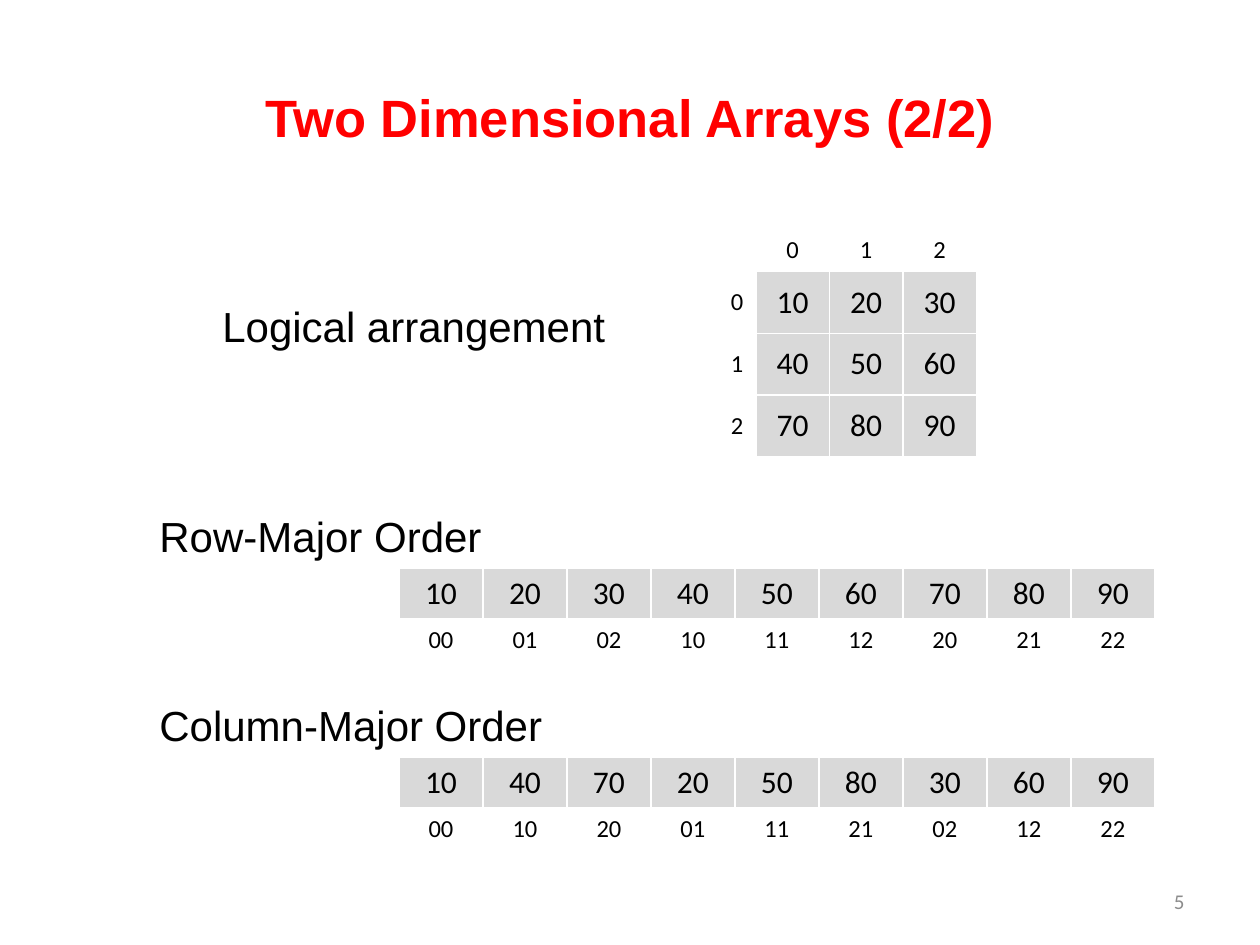
from itertools import product

from pptx import Presentation
from pptx.dml.color import RGBColor
from pptx.enum.text import MSO_ANCHOR, PP_ALIGN
from pptx.util import Pt

LEFT, MID, RIGHT = PP_ALIGN.LEFT, PP_ALIGN.CENTER, PP_ALIGN.RIGHT
TOP, CENTER, BASE = MSO_ANCHOR.TOP, MSO_ANCHOR.MIDDLE, MSO_ANCHOR.BOTTOM
HEX = {"title": "FF0000", "text": "000000", "page": "8C8C8C",
       "data": "D9D9D9", "blank": "FFFFFF"}


def write(para, text, align, tint, **form):
    para.text = text
    para.alignment = align
    for name, value in form.items():
        setattr(para.font, name, value)
    para.font.color.rgb = RGBColor.from_string(HEX[tint])


def draw(left, top, width, height, cells):
    frame = slide.shapes.add_table(
        len(cells), len(cells[0]), Pt(left), Pt(top), Pt(width), Pt(height))
    for r, line in enumerate(cells):
        for c, (text, tint, size, align, anchor) in enumerate(line):
            cell = frame.table.cell(r, c)
            cell.fill.solid()
            cell.fill.fore_color.rgb = RGBColor.from_string(HEX[tint])
            cell.vertical_anchor = anchor
            write(cell.text_frame.paragraphs[0], text, align, "text",
                  name="Calibri", size=Pt(size), bold=False)


deck = Presentation()
deck.slide_width, deck.slide_height = Pt(720), Pt(540)
slide = deck.slides.add_slide(deck.slide_layouts[6])

labels = [
    ("Two Dimensional Arrays (2/2)", 36, 21.6, 648, 90, "Arial", 30, "title", MID, CENTER, True),
    ("5", 516, 500.5, 168, 28.75, "Calibri", 12, "page", RIGHT, CENTER, True),
    ("Logical arrangement", 120, 168, 236, 36, "Arial", 24, "text", LEFT, TOP, False),
    ("Row-Major Order", 84, 288, 201, 36, "Arial", 24, "text", LEFT, TOP, False),
    ("Column-Major Order", 84, 396, 235.5, 36, "Arial", 24, "text", LEFT, TOP, False),
]
for text, left, top, width, height, face, size, tint, align, anchor, wrap in labels:
    box = slide.shapes.add_textbox(Pt(left), Pt(top), Pt(width), Pt(height)).text_frame
    box.word_wrap = wrap
    box.vertical_anchor = anchor
    write(box.paragraphs[0], text, align, tint,
          name=face, size=Pt(size), bold=tint == "title")

grid = [[10, 20, 30], [40, 50, 60], [70, 80, 90]]
rows = [[("", "blank", 14, MID, BASE)]
        + [(str(c), "blank", 14, MID, BASE) for c in range(3)]]
for r, line in enumerate(grid):
    rows.append([(str(r), "blank", 14, RIGHT, CENTER)]
                + [(str(n), "data", 18, MID, CENTER) for n in line])
draw(390, 120, 168, 141, rows)

by_row = list(product(range(3), repeat=2))
by_col = [(r, c) for c, r in by_row]
for top, order in ((324.5, by_row), (432.5, by_col)):
    draw(228, top, 432, 58.4, [
        [(str(grid[r][c]), "data", 18, MID, CENTER) for r, c in order],
        [(f"{r}{c}", "blank", 14, MID, TOP) for r, c in order],
    ])

deck.save("out.pptx")
